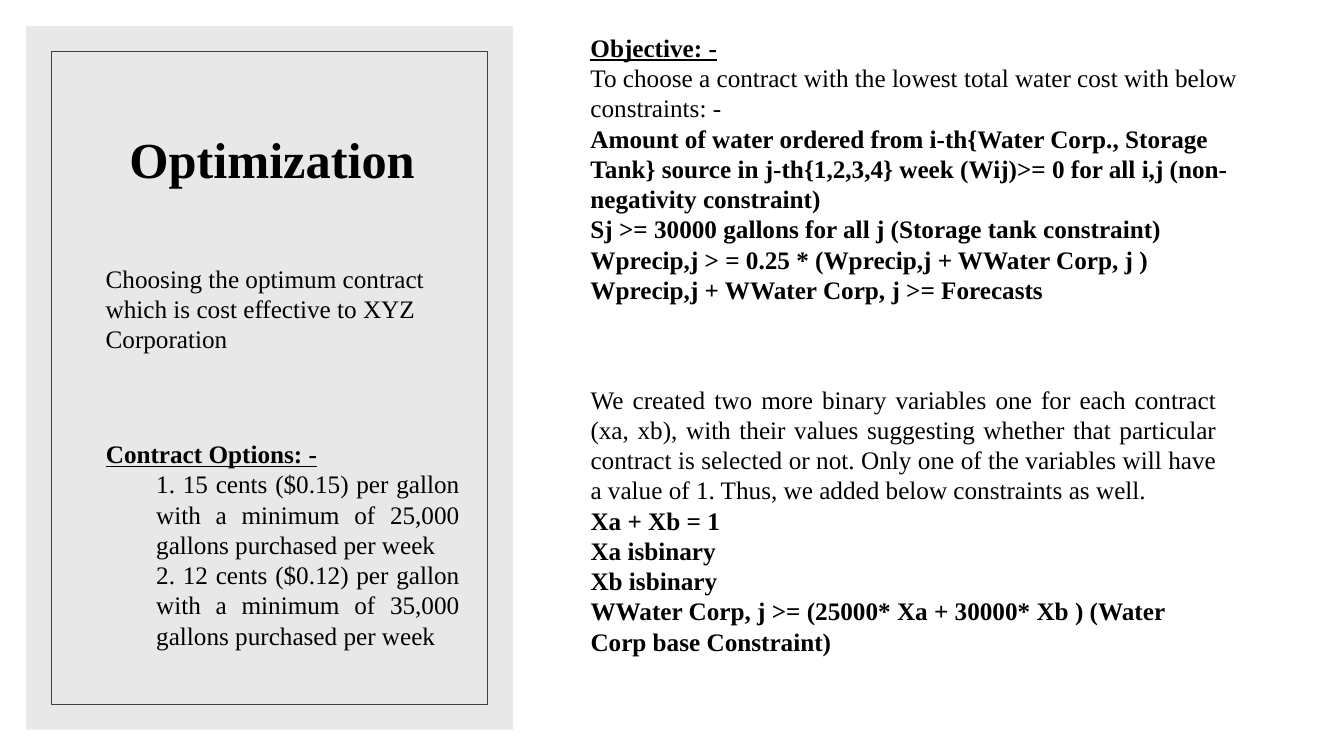
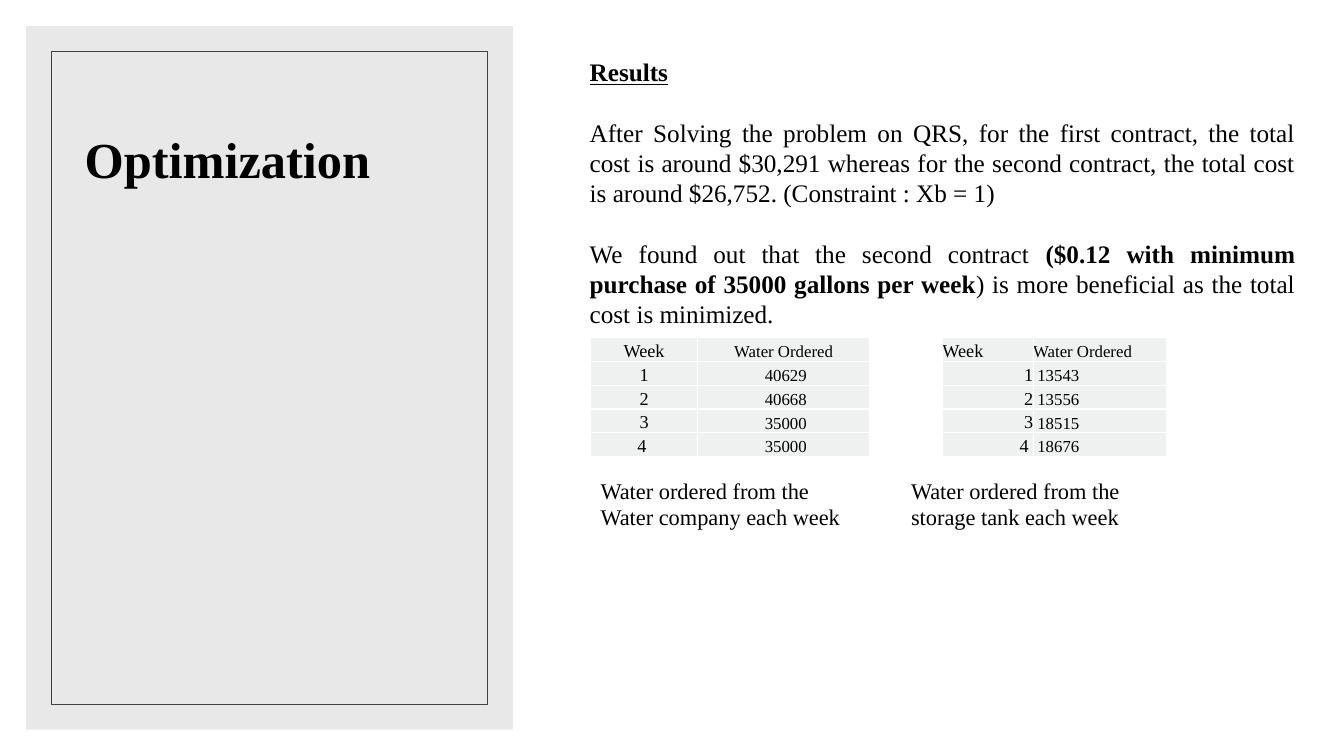
import pptx
import pptx.dml.color
import pptx.enum.shapes
import pptx.enum.text
import pptx.oxml
import pptx.oxml.ns
import pptx.util
from lxml import etree
from dataclasses import dataclass

Pt = pptx.util.Pt
qn = pptx.oxml.ns.qn
ALIGN = pptx.enum.text.PP_ALIGN
ANCHOR = pptx.enum.text.MSO_ANCHOR


@dataclass(frozen=True)
class Theme:
    font: str = "Times New Roman"
    text: str = "000000"
    panel: str = "D9D9D9"
    panel_alpha: int = 60000
    frame: str = "404040"
    cell: str = "EFF1F1"
    border: str = "FFFFFF"
    title: float = 36
    body: float = 18
    caption: float = 16
    week: float = 13
    amount: float = 12
    gap: float = 21.6


T = Theme()
STRONG = {"bold": True}
HEADING = {"bold": True, "underline": True}
WEEKS = ("1", "2", "3", "4 ")


def rgb(value):
    return pptx.dml.color.RGBColor.from_string(value)


def apply(obj, values):
    for name, value in values.items():
        setattr(obj, name, value)


def place(sp, left, top, width, height):
    apply(sp, {"left": Pt(left), "top": Pt(top),
               "width": Pt(width), "height": Pt(height)})


def para(runs, indent=0, **fmt):
    return [(runs, {})] if isinstance(runs, str) else runs, indent, fmt


def add_run(p, text, size, font):
    r = p.add_run()
    r.text = text
    apply(r.font, {"name": T.font, "size": Pt(size), **font})
    r.font.color.rgb = rgb(T.text)


def write(tf, paras, size=T.body, anchor=ANCHOR.TOP):
    apply(tf, {"word_wrap": True, "vertical_anchor": anchor,
               "auto_size": pptx.enum.text.MSO_AUTO_SIZE.NONE})
    for i, (runs, indent, fmt) in enumerate(paras):
        p = tf.add_paragraph() if i else tf.paragraphs[0]
        apply(p, {"alignment": ALIGN.LEFT, "space_before": Pt(0),
                  "space_after": Pt(0), **fmt})
        pPr = p._p.get_or_add_pPr()
        pPr.set("marL", str(Pt(indent)))
        pPr.set("indent", "0")
        etree.SubElement(pPr, qn("a:buNone"))
        for text, font in runs:
            add_run(p, text, size, font)


def add_text(slide, box, paras, size=T.body):
    sp = slide.shapes.add_textbox(*map(Pt, box))
    write(sp.text_frame, paras, size)


def fill_body(slide, box, paras):
    sp = slide.placeholders[1]
    place(sp, *box)
    write(sp.text_frame, paras)


def add_rect(slide, left, top, width, height):
    sp = slide.shapes.add_shape(pptx.enum.shapes.MSO_SHAPE.RECTANGLE,
                                Pt(left), Pt(top), Pt(width), Pt(height))
    sp.shadow.inherit = False
    return sp


def add_panel(layout, slide):
    panel = add_rect(slide, 18.72, 18.72, 347.76, 502.56)
    panel.fill.solid()
    panel.fill.fore_color.rgb = rgb(T.panel)
    color = panel._element.spPr.find(".//" + qn("a:srgbClr"))
    etree.SubElement(color, qn("a:alpha")).set("val", str(T.panel_alpha))
    panel.line.fill.background()
    frame = add_rect(slide, 36.72, 36.72, 311.76, 466.56)
    frame.fill.background()
    frame.line.color.rgb = rgb(T.frame)
    frame.line.width = Pt(0.5)
    for i, sp in enumerate((panel, frame)):
        sp._element.nvSpPr.cNvPr.set("id", str(20 + i))
        layout.shapes._spTree.insert(2 + i, sp._element)


def add_slide(prs, layout, align):
    slide = prs.slides.add_slide(layout)
    title = slide.shapes.title
    place(title, 53.28, 69.12, 282.24, 92.88)
    write(title.text_frame,
          [para([("Optimization", STRONG)], alignment=align, line_spacing=0.9)],
          T.title, ANCHOR.MIDDLE)
    return slide


def set_borders(cell):
    tcPr = cell._tc.get_or_add_tcPr()
    for i, side in enumerate(("lnL", "lnR", "lnT", "lnB")):
        ln = etree.Element(qn("a:" + side), w=str(Pt(1)))
        fill = etree.SubElement(ln, qn("a:solidFill"))
        etree.SubElement(fill, qn("a:srgbClr")).set("val", T.border)
        tcPr.insert(i, ln)


def add_order_table(slide, left, widths, amounts, header_align, week_align,
                    amount_align, margin):
    rows = [("Week", "Water Ordered")]
    rows += [(week, f" {amount}") for week, amount in zip(WEEKS, amounts)]
    row_height = 17
    table = slide.shapes.add_table(
        len(rows), len(widths), Pt(left), Pt(241.2),
        Pt(sum(widths)), Pt(row_height * len(rows))).table
    apply(table, {"first_row": False, "horz_banding": False})
    for column, width in zip(table.columns, widths):
        column.width = Pt(width)
    for r, row in enumerate(rows):
        table.rows[r].height = Pt(row_height)
        aligns = (week_align, amount_align) if r else (header_align,) * 2
        for c, (text, size) in enumerate(zip(row, (T.week, T.amount))):
            cell = table.cell(r, c)
            apply(cell, {"margin_left": Pt(margin), "margin_right": Pt(margin),
                         "margin_top": Pt(margin), "margin_bottom": Pt(0),
                         "vertical_anchor": ANCHOR.BOTTOM})
            cell.fill.solid()
            cell.fill.fore_color.rgb = rgb(T.cell)
            set_borders(cell)
            p = cell.text_frame.paragraphs[0]
            p.alignment = aligns[c]
            add_run(p, text, size, {})


def build_contracts(slide):
    justify = {"alignment": ALIGN.JUSTIFY}
    add_text(slide, (68.4, 184.32, 266.4, 94.32), [
        para("Choosing the optimum contract which is cost effective to XYZ Corporation")])
    fill_body(slide, (68.4, 309.6, 267.12, 159.84), [
        para([("Contract Options: -", HEADING)], **justify),
        para("1. 15 cents ($0.15) per gallon with a minimum of 25,000 "
             "gallons purchased per week", 36, **justify),
        para("2. 12 cents ($0.12) per gallon with a minimum of 35,000 "
             "gallons purchased per week", 36, **justify)])
    constraints = (
        "Amount of water ordered from i-th{Water Corp., Storage Tank} source in "
        "j-th{1,2,3,4} week (Wij)>= 0 for all i,j (non-negativity constraint)",
        "Sj >= 30000 gallons for all j (Storage tank constraint)",
        "Wprecip,j > = 0.25 * (Wprecip,j + WWater Corp, j )",
        "Wprecip,j + WWater Corp, j >= Forecasts")
    add_text(slide, (414.72, 19.44, 496.8, 225.36), [
        para([("Objective: -", HEADING)]),
        para("To choose a contract with the lowest total water cost with below constraints: -"),
        *(para([(text, STRONG)]) for text in constraints)])
    binary = (
        "Xa + Xb = 1", "Xa isbinary", "Xb isbinary",
        "WWater Corp, j >= (25000* Xa + 30000* Xb ) (Water Corp base Constraint)")
    add_text(slide, (414.72, 270.72, 461.52, 246.96), [
        para("We created two more binary variables one for each contract (xa, xb), "
             "with their values suggesting whether that particular contract is "
             "selected or not. Only one of the variables will have a value of 1. "
             "Thus, we added below constraints as well.", **justify),
        *(para([(text, STRONG)]) for text in binary)])


def build_results(slide):
    spaced = {"alignment": ALIGN.JUSTIFY, "space_before": Pt(T.gap)}
    fill_body(slide, (414, 36.72, 518.4, 225.36), [
        para([("Results", HEADING)]),
        para("After Solving the problem on QRS, for the first contract, the total "
             "cost is around $30,291 whereas for the second contract, the total "
             "cost is around $26,752. (Constraint : Xb = 1)", **spaced),
        para([("We found out that the second contract ", {}),
              ("($0.12 with minimum purchase of 35000 gallons per week", STRONG),
              (") is more beneficial as the total cost is minimized.", {})],
             **spaced)])
    add_order_table(slide, 421.92, (76.32, 123.12), (40629, 40668, 35000, 35000),
                    ALIGN.CENTER, ALIGN.CENTER, ALIGN.CENTER, 0.72)
    add_order_table(slide, 673.2, (64.8, 95.04), (13543, 13556, 18515, 18676),
                    ALIGN.LEFT, ALIGN.RIGHT, ALIGN.LEFT, 0)
    for left, text in ((421.92, "Water ordered from the Water company each week"),
                       (643.68, "Water ordered from the storage tank each week")):
        add_text(slide, (left, 336.96, 198.72, 46.08), [para(text)], T.caption)


def main():
    prs = pptx.Presentation()
    apply(prs, {"slide_width": Pt(960), "slide_height": Pt(540)})
    layout = prs.slide_layouts[1]
    contracts = add_slide(prs, layout, ALIGN.CENTER)
    add_panel(layout, contracts)
    build_contracts(contracts)
    build_results(add_slide(prs, layout, ALIGN.LEFT))
    prs.save("out.pptx")


if __name__ == "__main__":
    main()
